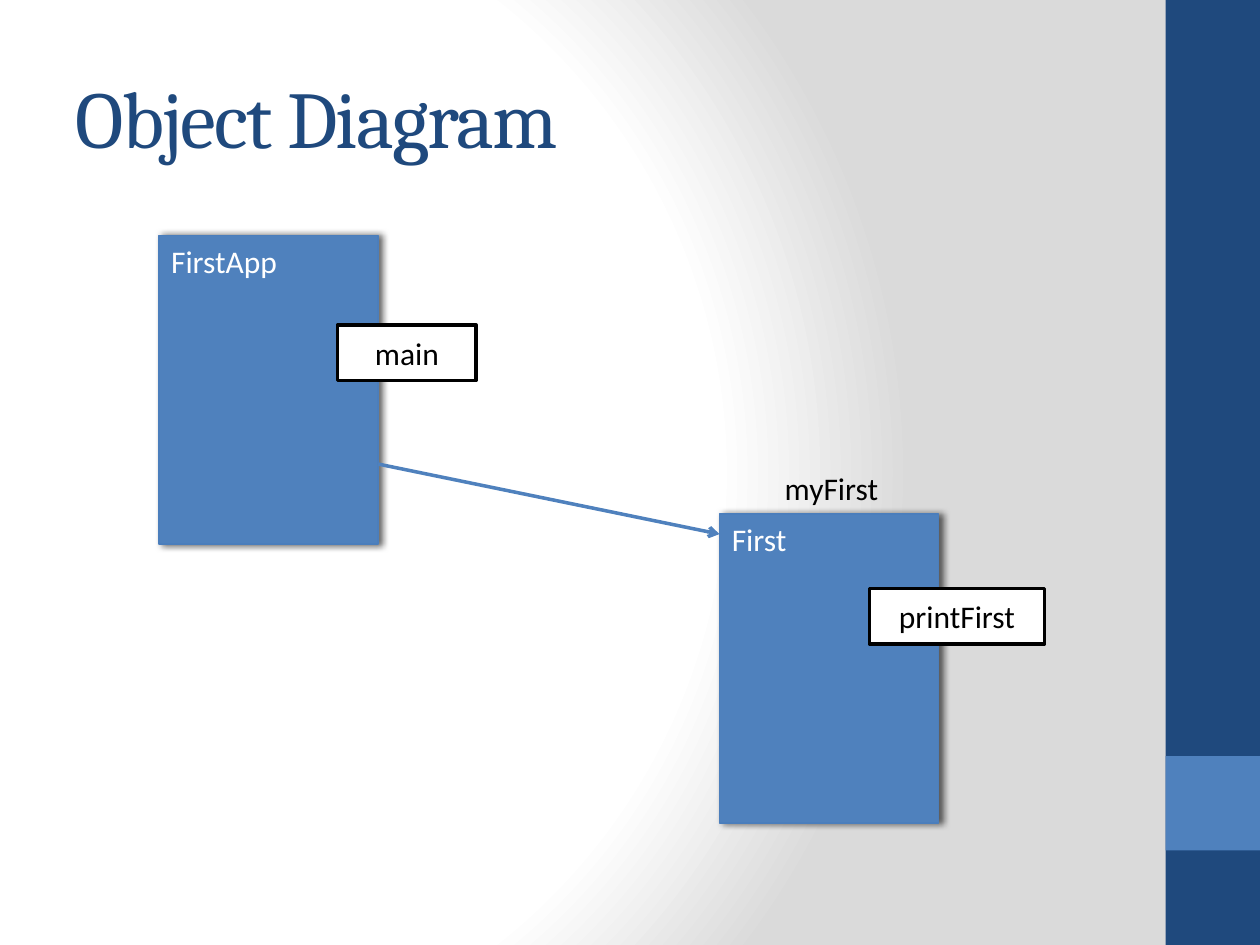
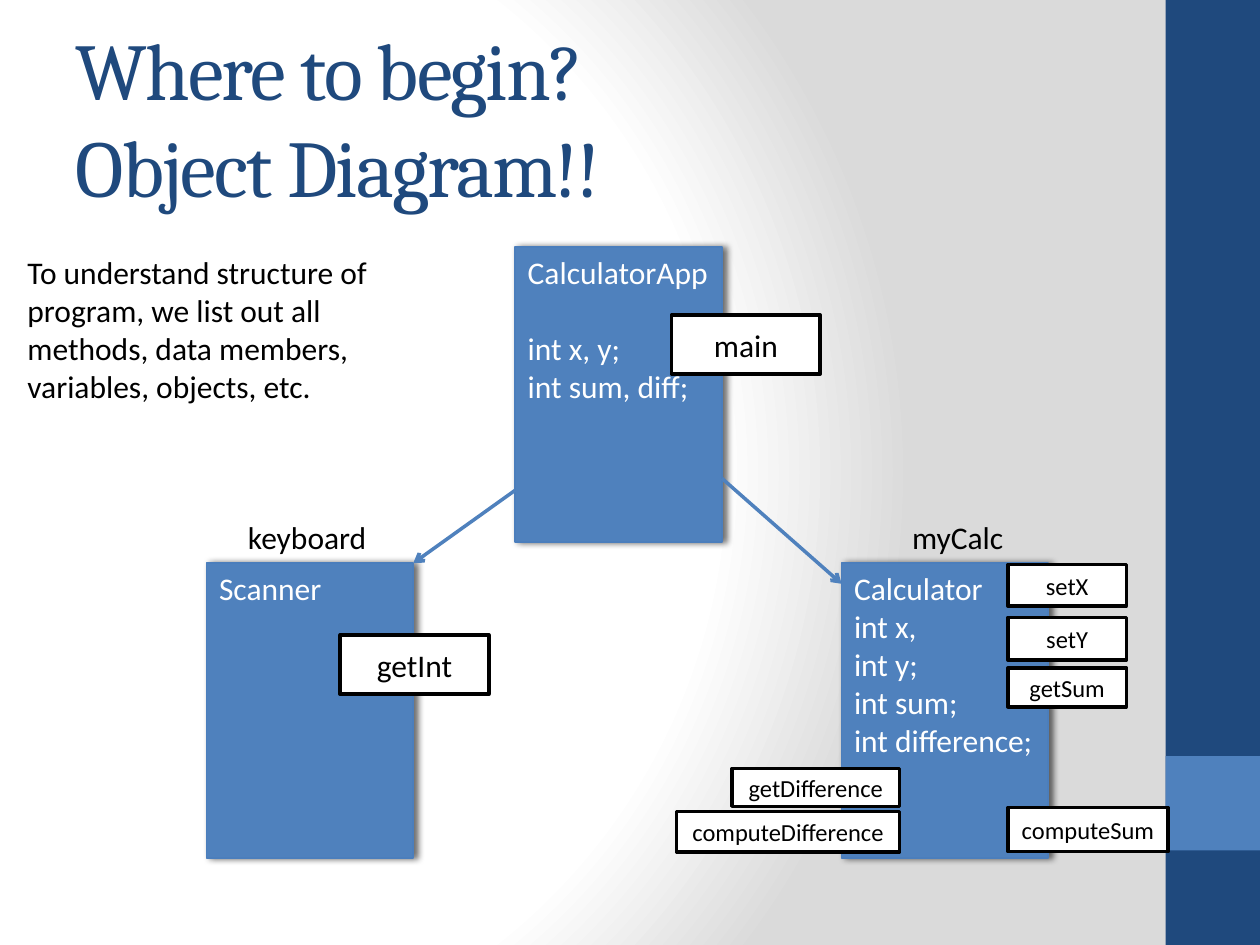
from pptx import Presentation
from pptx.dml.color import RGBColor
from pptx.enum.shapes import MSO_CONNECTOR, MSO_SHAPE
from pptx.enum.text import MSO_ANCHOR, MSO_AUTO_SIZE, PP_ALIGN
from pptx.oxml import parse_xml
from pptx.oxml.ns import nsdecls, qn
from pptx.util import Inches, Pt

RECT, STRAIGHT = MSO_SHAPE.RECTANGLE, MSO_CONNECTOR.STRAIGHT
LEFT, CENTER = PP_ALIGN.LEFT, PP_ALIGN.CENTER
TOP, MIDDLE = MSO_ANCHOR.TOP, MSO_ANCHOR.MIDDLE
FIT, NO_FIT = MSO_AUTO_SIZE.SHAPE_TO_FIT_TEXT, MSO_AUTO_SIZE.NONE

C = {"navy": "1F497D", "blue": "4F81BD", "edge": "4B7EBC",
     "white": "FFFFFF", "gray": "DADADA", "black": "000000"}
W, H = 10, 7.5
BAND = 0.75
LINE_GAP = 22  # one skipped line of class text, in points

# Content. Classes: name -> (left, top, lines); tags: (left, top, width, height, text, size);
# links: (class, side, share of height) at each end, side 0 = left and 1 = right.
SLIDES = [
    {"title": "Object Diagram",
     "class_size": (1.74, 2.45),
     "classes": {"FirstApp": (1.26, 1.87, []),
                 "First": (5.71, 4.08, [])},
     "links": [(("FirstApp", 1, 0.74), ("First", 0, 0.065))],
     "labels": [(6.13, 3.67, 0.96, "myFirst")],
     "tags": [(2.68, 2.58, 1.1, 0.44, "main", 18),
              (6.9, 4.67, 1.39, 0.44, "printFirst", 18)]},
    {"title": "Where to begin?\nObject Diagram!!",
     "class_size": (1.64, 2.34),
     "classes": {"Calculator": (6.68, 4.47, ["int x,", "int y;", "int sum;", "int difference;"]),
                 "CalculatorApp": (4.09, 1.96, [("int x, y;", LINE_GAP), "int sum, diff;"]),
                 "Scanner": (1.64, 4.47, [])},
     "links": [(("CalculatorApp", 0, 0.825), ("Scanner", 1, 0)),
               (("CalculatorApp", 1, 0.785), ("Calculator", 0, 0.07))],
     "labels": [(7.14, 4.06, 0.94, "myCalc"), (1.87, 4.06, 1.16, "keyboard")],
     "tags": [(5.33, 2.5, 1.18, 0.47, "main", 18),
              (2.7, 5.04, 1.18, 0.47, "getInt", 18),
              (8, 4.48, 0.94, 0.33, "setX", 14),
              (8, 4.9, 0.94, 0.34, "setY", 14),
              (8, 5.3, 0.94, 0.31, "getSum", 14),
              (5.37, 6.44, 1.77, 0.32, "computeDifference", 14),
              (8, 6.41, 1.27, 0.35, "computeSum", 14),
              (5.81, 6.1, 1.33, 0.3, "getDifference", 14)],
     "note": (0.12, 1.96, 3.43, 1.31,
              "To understand structure of program, we list out all methods, "
              "data members, variables, objects, etc.")},
]


def rgb(name):
    return RGBColor.from_string(C[name])


def place(*lengths):
    return [Inches(n) for n in lengths]


def write(sp, paragraphs, size=18, color="black", font="Calibri", align=LEFT,
          anchor=TOP, wrap=True, fit=NO_FIT, spacing=None):
    """Fill a shape with paragraphs; each is text or (text, space before)."""
    tf = sp.text_frame
    tf.word_wrap, tf.auto_size, tf.vertical_anchor = wrap, fit, anchor
    for i, item in enumerate(paragraphs):
        text, before = item if isinstance(item, tuple) else (item, 0)
        p = tf.paragraphs[0] if i == 0 else tf.add_paragraph()
        p.alignment, p.space_before = align, Pt(before)
        for j, part in enumerate(text.split("\n")):
            if j:
                p.add_line_break()
            r = p.add_run()
            r.text = part
            r.font.size, r.font.name = Pt(size), font
            r.font.color.rgb = rgb(color)
            if spacing is not None:
                r.font._element.set("spc", str(spacing * 100))


def add_rect(s, box, fill, line=None, width=1):
    sp = s.shapes.add_shape(RECT, *place(*box))
    sp.shadow.inherit = False
    sp.fill.solid()
    sp.fill.fore_color.rgb = rgb(fill)
    if line:
        sp.line.color.rgb, sp.line.width = rgb(line), Pt(width)
    else:
        sp.line.fill.background()
    return sp


def add_class(s, box, lines):
    sp = add_rect(s, box, "blue", "edge")
    sp.element.spPr.find(qn("a:effectLst")).append(parse_xml(
        f'<a:outerShdw {nsdecls("a")} blurRad="{Pt(4)}" dist="{Pt(2)}" dir="0" rotWithShape="0">'
        f'<a:srgbClr val="{C["black"]}"><a:alpha val="60000"/></a:srgbClr></a:outerShdw>'))
    write(sp, lines, color="white")


def add_link(s, start, end):
    line = s.shapes.add_connector(STRAIGHT, *place(*start, *end))
    line.line.color.rgb, line.line.width = rgb("blue"), Pt(2)
    line.line._get_or_add_ln().append(parse_xml(f'<a:tailEnd {nsdecls("a")} type="arrow"/>'))
    line.element.spPr.append(parse_xml(f'<a:effectLst {nsdecls("a")}/>'))


def add_text(s, box, text, **fmt):
    write(s.shapes.add_textbox(*place(*box)), [text], fit=FIT, **fmt)


def style_master(master, s):
    """Give the master its gradient background and the bands at the right edge."""
    master.background.fill.solid()
    bg = master.element.find(".//" + qn("p:bgPr"))
    stops = "".join(f'<a:gs pos="{pos * 1000}"><a:srgbClr val="{C[name]}"/></a:gs>'
                    for pos, name in [(0, "white"), (75, "white"), (100, "gray")])
    bg.replace(bg[0], parse_xml(
        f'<a:gradFill {nsdecls("a")} rotWithShape="1"><a:gsLst>{stops}</a:gsLst>'
        '<a:path path="circle"><a:fillToRect l="20000" t="50000" r="100000" b="50000"/>'
        '</a:path></a:gradFill>'))
    bands = [((W - BAND, 0, BAND, H), "navy"), ((W - BAND, H - 2 * BAND, BAND, BAND), "blue")]
    for i, (box, fill) in enumerate(bands):
        master.shapes.element.insert(2 + i, add_rect(s, box, fill).element)


def build_slide(s, data):
    # Title
    title = s.shapes.title
    title.left, title.top, title.width, title.height = place(0.5, 0.3, 8.33, 1.25)
    write(title, [data["title"]], size=46, color="navy", font="Cambria",
          anchor=MIDDLE, spacing=-1)

    # Classes and the links between them
    w, h = data["class_size"]
    classes = data["classes"]
    for name, (x, y, lines) in classes.items():
        add_class(s, (x, y, w, h), [name, *lines])
    for link in data["links"]:
        add_link(s, *[(classes[name][0] + side * w, classes[name][1] + share * h)
                      for name, side, share in link])

    # Object names, method tags and note
    for x, y, width, text in data["labels"]:
        add_text(s, (x, y, width, 0.4), text, wrap=False)
    for *box, text, size in data["tags"]:
        write(add_rect(s, box, "white", "black", 2), [text], size=size,
              align=CENTER, anchor=MIDDLE)
    if "note" in data:
        *box, text = data["note"]
        add_text(s, box, text)


def main():
    prs = Presentation()
    prs.slide_width, prs.slide_height = place(W, H)
    title_only = prs.slide_layouts[5]
    for i, data in enumerate(SLIDES):
        s = prs.slides.add_slide(title_only)
        if i == 0:
            style_master(prs.slide_master, s)
        build_slide(s, data)
    prs.save("out.pptx")


if __name__ == "__main__":
    main()
